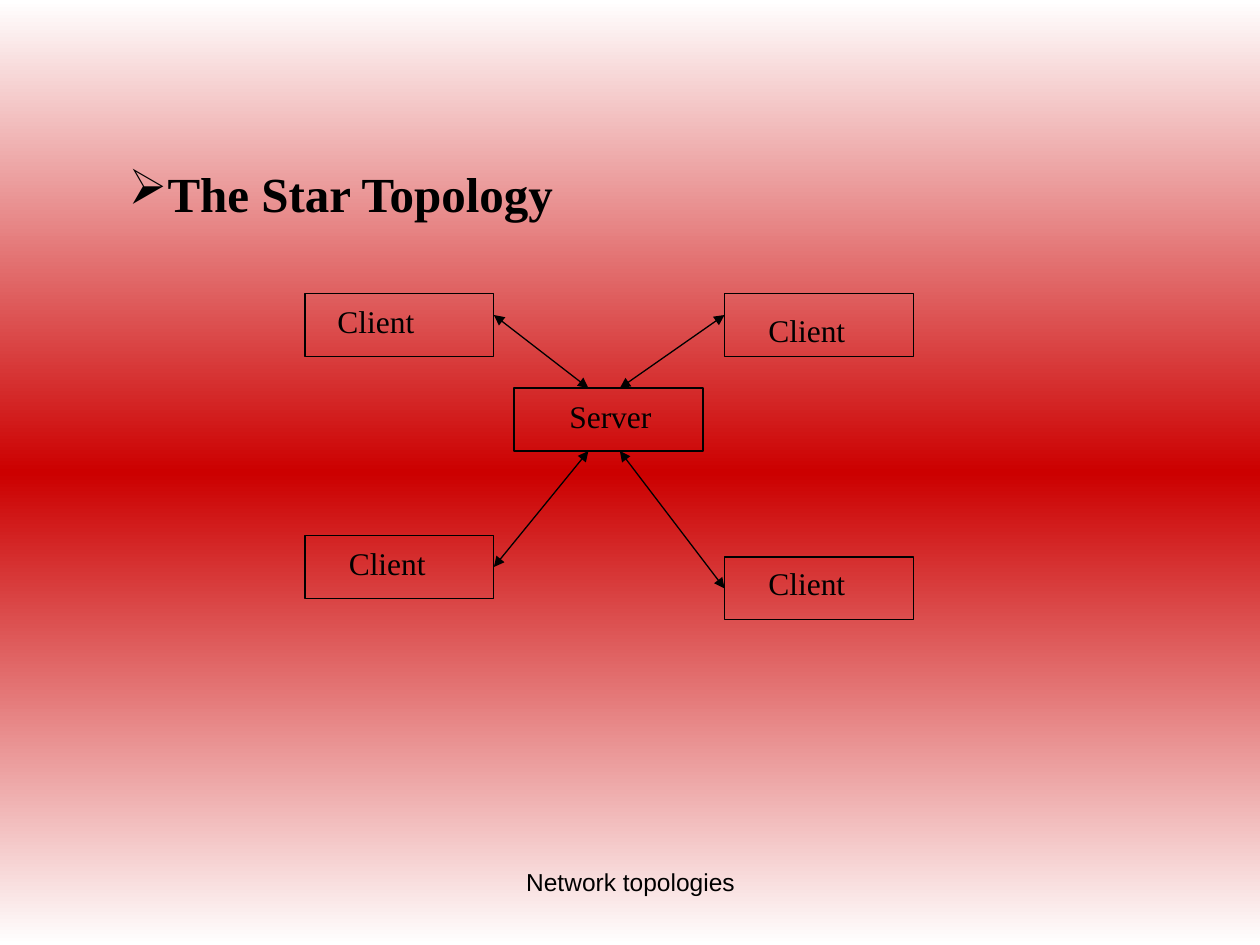
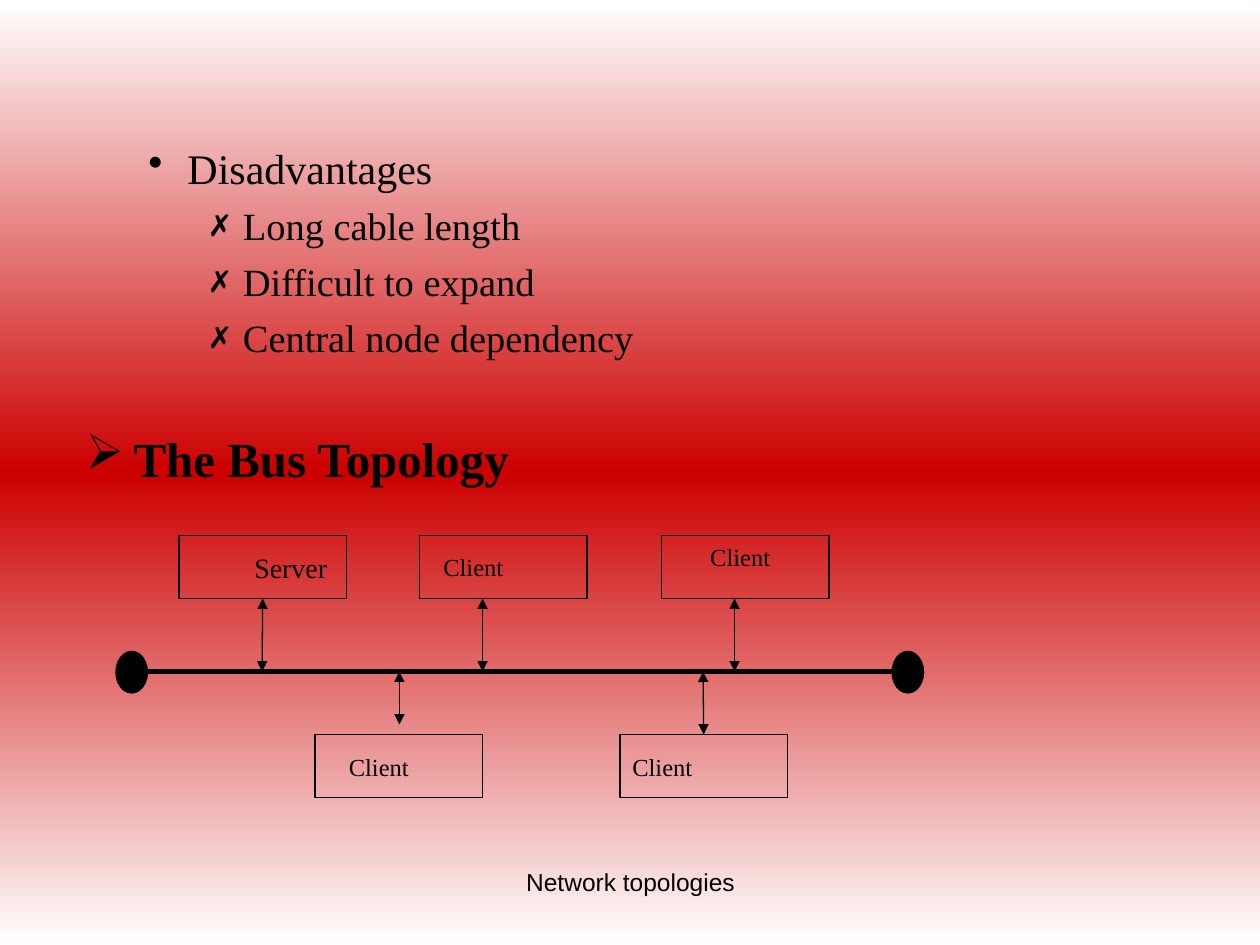
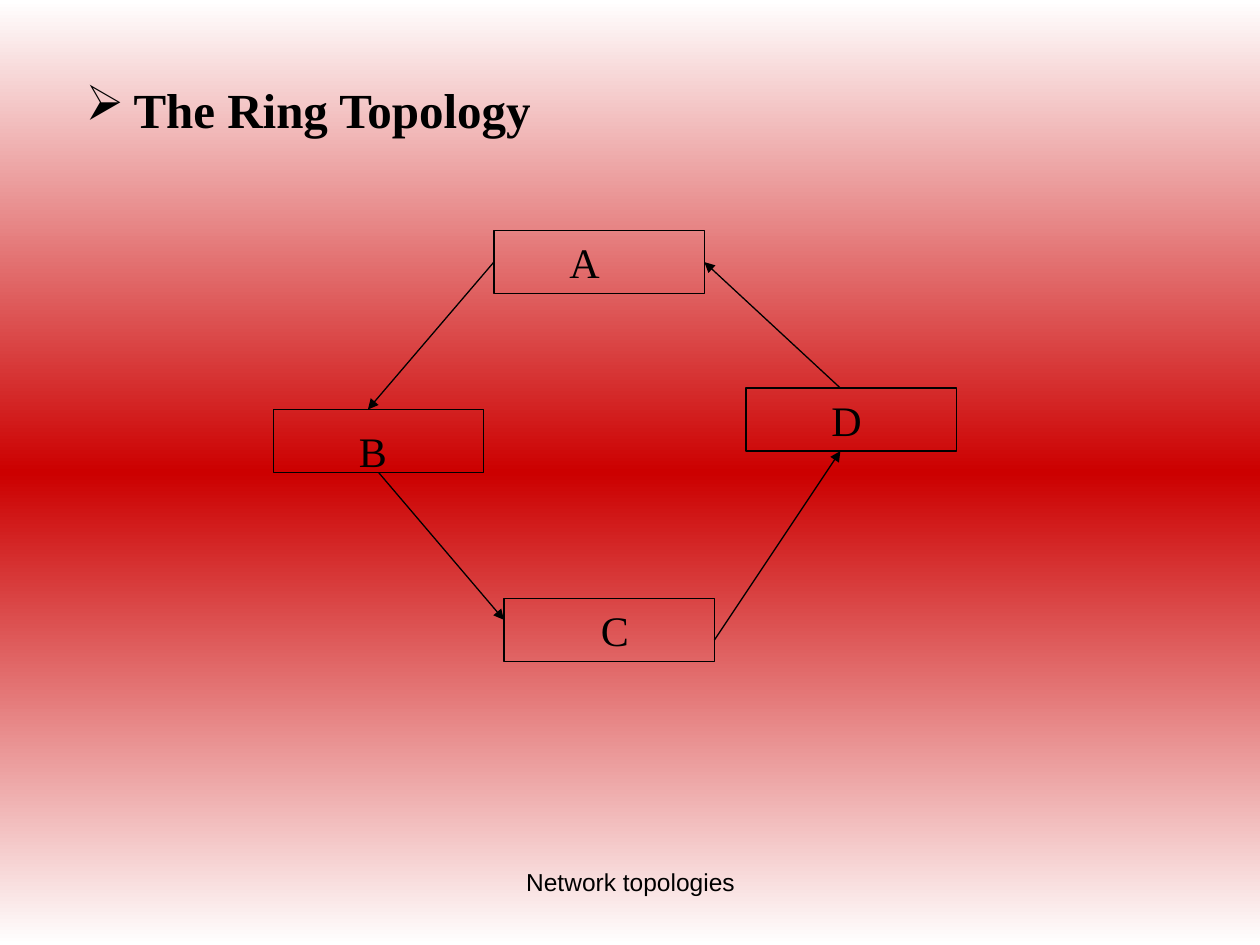
from copy import deepcopy
from dataclasses import dataclass
from typing import NamedTuple

from lxml import etree
from pptx import Presentation
from pptx import util as u
from pptx.dml import color
from pptx.enum import shapes, text as text_enum
from pptx.oxml import ns

COLOURS = {"ink": "000000", "edge": "FFFFFF", "middle": "CC0000"}
SERIF = "Times New Roman"
SANS = "Arial"
TITLE_ONLY = 5
TOP, LEFT, BOTTOM, RIGHT = range(4)
THIN = 0.75
BOX_HEIGHT = 0.5
LABEL_INDENT = (0.81, -0.31)
TITLE_INDENT = (0.38, -0.38)


class Point(NamedTuple):
    x: float
    y: float


class Joint(NamedTuple):
    box: int
    side: int


@dataclass
class Label:
    text: str
    left: float
    top: float
    width: float
    align: text_enum.PP_ALIGN = text_enum.PP_ALIGN.LEFT


@dataclass
class Link:
    start: Point | Joint
    end: Point | Joint


@dataclass
class Diagram:
    box_width: float
    boxes: list[Point]
    labels: list[Label]
    label_size: float
    label_height: float
    links: list[Link]
    two_way: bool = True


STAR = Diagram(
    box_width=1.5,
    boxes=[Point(4.08, 3.08), Point(5.75, 2.33), Point(2.42, 4.25),
           Point(2.42, 2.33), Point(5.75, 4.42)],
    labels=[Label("Client", 2.08, 2.35, 1.67), Label("Client", 5.5, 2.42, 1.67),
            Label("Client", 2.17, 4.27, 1.67), Label("Client", 5.5, 4.43, 1.67),
            Label("Server", 3.92, 3.1, 1.67)],
    label_size=18,
    label_height=0.4,
    links=[Link(Point(3.92, 2.5), Point(4.67, 3.08)),
           Link(Point(5.75, 2.5), Point(4.92, 3.08)),
           Link(Joint(2, RIGHT), Point(4.67, 3.58)),
           Link(Joint(4, LEFT), Point(4.92, 3.58))],
)

BUS_Y = 5.33
BUS = Diagram(
    box_width=1.33,
    boxes=[Point(1.42, 4.25), Point(3.33, 4.25), Point(5.25, 4.25),
           Point(4.92, 5.83), Point(2.5, 5.83)],
    labels=[Label("Client", 2.92, 4.33, 1.75),
            Label("Client", 5, 4.25, 1.25, text_enum.PP_ALIGN.CENTER),
            Label("Client", 2.17, 5.92, 1.42), Label("Client", 4.42, 5.92, 1.42)],
    label_size=14,
    label_height=0.34,
    links=[Link(Joint(0, BOTTOM), Point(2.08, BUS_Y)),
           Link(Point(3.83, 4.75), Point(3.83, BUS_Y)),
           Link(Point(5.83, 4.75), Point(5.83, BUS_Y)),
           Link(Point(3.17, BUS_Y), Point(3.17, 5.75)),
           Link(Point(5.58, BUS_Y), Joint(3, TOP))],
)

RING = Diagram(
    box_width=1.67,
    boxes=[Point(3.92, 1.83), Point(2.17, 3.25), Point(5.92, 3.08), Point(4, 4.75)],
    labels=[Label("A", 3.92, 1.83, 1.58), Label("B", 2.25, 3.33, 1.42),
            Label("C", 4.17, 4.75, 1.58), Label("D", 6, 3.08, 1.67)],
    label_size=24,
    label_height=0.5,
    links=[Link(Joint(0, LEFT), Point(2.92, 3.25)),
           Link(Joint(1, BOTTOM), Point(4, 4.92)),
           Link(Point(5.67, 5.08), Point(6.67, 3.58)),
           Link(Point(6.67, 3.08), Joint(0, RIGHT))],
    two_way=False,
)


def rgb(name: str) -> color.RGBColor:
    return color.RGBColor.from_string(COLOURS[name])


def inches(*lengths: float) -> list[u.Length]:
    return [u.Inches(length) for length in lengths]


def write(paragraph, text: str, *, size: float, font: str = SERIF, bold: bool = False,
          align=text_enum.PP_ALIGN.LEFT, indent: tuple[float, float] = (0, 0),
          before: float = 0, bullet: str = "") -> None:
    run = paragraph.add_run()
    run.text = text
    run.font.name = font
    run.font.size = u.Pt(size)
    run.font.bold = bold
    run.font.color.rgb = rgb("ink")
    paragraph.alignment = align
    paragraph.space_before = u.Pt(before)
    properties = paragraph._p.get_or_add_pPr()
    margin, first_line = inches(*indent)
    properties.set("marL", str(margin))
    properties.set("indent", str(first_line))
    if bullet:
        bullet_colour = etree.SubElement(properties, ns.qn("a:buClr"))
        etree.SubElement(bullet_colour, ns.qn("a:srgbClr"), val=COLOURS["ink"])
        etree.SubElement(properties, ns.qn("a:buChar"), char=bullet)


def add_text_box(slide, left: float, top: float, width: float, height: float):
    frame = slide.shapes.add_textbox(*inches(left, top, width, height)).text_frame
    frame.word_wrap = True
    return frame


def add_outline(slide, kind: shapes.MSO_SHAPE, left: float, top: float,
                width: float, height: float, filled: bool = False):
    shape = slide.shapes.add_shape(kind, *inches(left, top, width, height))
    shape.shadow.inherit = False
    shape.line.color.rgb = rgb("ink")
    shape.line.width = u.Pt(THIN)
    if filled:
        shape.fill.solid()
        shape.fill.fore_color.rgb = rgb("ink")
    else:
        shape.fill.background()
    return shape


def add_line(slide, start: Point, end: Point, width: float = THIN,
             arrows: tuple[str, ...] = ()):
    connector = slide.shapes.add_connector(
        shapes.MSO_CONNECTOR.STRAIGHT, *inches(*start, *end))
    connector.line.color.rgb = rgb("ink")
    connector.line.width = u.Pt(width)
    outline = connector.line._get_or_add_ln()
    for arrow in arrows:
        etree.SubElement(outline, ns.qn(f"a:{arrow}"), type="triangle")
    etree.SubElement(connector._element.spPr, ns.qn("a:effectLst"))
    return connector


def add_link(slide, link: Link, boxes: list, arrows: tuple[str, ...]) -> None:
    start, end = (Point(0, 0) if isinstance(place, Joint) else place
                  for place in (link.start, link.end))
    connector = add_line(slide, start, end, arrows=arrows)
    if isinstance(link.start, Joint):
        connector.begin_connect(boxes[link.start.box], link.start.side)
    if isinstance(link.end, Joint):
        connector.end_connect(boxes[link.end.box], link.end.side)


def add_diagram(slide, diagram: Diagram) -> list:
    boxes = [add_outline(slide, shapes.MSO_SHAPE.RECTANGLE, *corner,
                         diagram.box_width, BOX_HEIGHT)
             for corner in diagram.boxes]
    for label in diagram.labels:
        frame = add_text_box(slide, label.left, label.top, label.width,
                             diagram.label_height)
        write(frame.paragraphs[0], label.text, size=diagram.label_size,
              align=label.align, indent=LABEL_INDENT)
    arrows = ("headEnd", "tailEnd") if diagram.two_way else ("tailEnd",)
    for link in diagram.links:
        add_link(slide, link, boxes, arrows)
    return boxes


def add_topology_slide(presentation, title: str, left: float, top: float, width: float,
                       indent: tuple[float, float]):
    slide = presentation.slides.add_slide(presentation.slide_layouts[TITLE_ONLY])
    footer = add_text_box(slide, 3.42, 6.83, 3.17, 0.52)
    write(footer.paragraphs[0], "Network topologies", size=14, font=SANS,
          align=text_enum.PP_ALIGN.CENTER)
    heading = slide.shapes.title
    heading.left, heading.top, heading.width, heading.height = inches(
        left, top, width, 0.57)
    frame = heading.text_frame
    frame.vertical_anchor = text_enum.MSO_ANCHOR.TOP
    frame.auto_size = text_enum.MSO_AUTO_SIZE.NONE
    write(frame.paragraphs[0], title, size=28, bold=True, indent=indent, bullet="➢")
    return slide


def add_disadvantages(slide) -> None:
    frame = add_text_box(slide, 0.58, 1.08, 8.67, 2.1)
    write(frame.paragraphs[0], "Disadvantages", size=24, indent=LABEL_INDENT, bullet="•")
    for drawback in ("Long cable length", "Difficult to expand",
                     "Central node dependency"):
        write(frame.add_paragraph(), drawback, size=22, indent=(1.25, -0.25),
              before=5.5, bullet="✗")


def add_bus(slide) -> None:
    add_line(slide, Point(1.17, BUS_Y), Point(7.08, BUS_Y), width=3.25)
    for left in (0.92, 7.08):
        add_outline(slide, shapes.MSO_SHAPE.OVAL, left, 5.17, 0.25, 0.33, filled=True)
    server = add_diagram(slide, BUS)[0].text_frame
    server.word_wrap = False
    server.vertical_anchor = text_enum.MSO_ANCHOR.MIDDLE
    write(server.paragraphs[0], "Server", size=16, indent=LABEL_INDENT)


def set_background(master) -> None:
    fill = master.background.fill
    fill.gradient()
    fill.gradient_angle = 90
    for stop, name in zip(fill.gradient_stops, ("edge", "middle")):
        stop.color.rgb = rgb(name)
    fill.gradient_stops[1].position = 0.5
    stops = master.element.find(f".//{ns.qn('a:gsLst')}")
    last = deepcopy(stops[0])
    last.set("pos", "100000")
    stops.append(last)


def main() -> None:
    presentation = Presentation()
    presentation.slide_width, presentation.slide_height = inches(10, 7.5)
    set_background(presentation.slide_master)

    star = add_topology_slide(presentation, "The Star Topology", 0.42, 1.25, 6.5,
                              LABEL_INDENT)
    add_diagram(star, STAR)

    bus = add_topology_slide(presentation, "The Bus Topology", 0.58, 3.35, 8.67,
                             TITLE_INDENT)
    add_disadvantages(bus)
    add_bus(bus)

    ring = add_topology_slide(presentation, "The Ring Topology", 0.58, 0.58, 8.67,
                              TITLE_INDENT)
    add_diagram(ring, RING)

    presentation.save("out.pptx")


if __name__ == "__main__":
    main()
